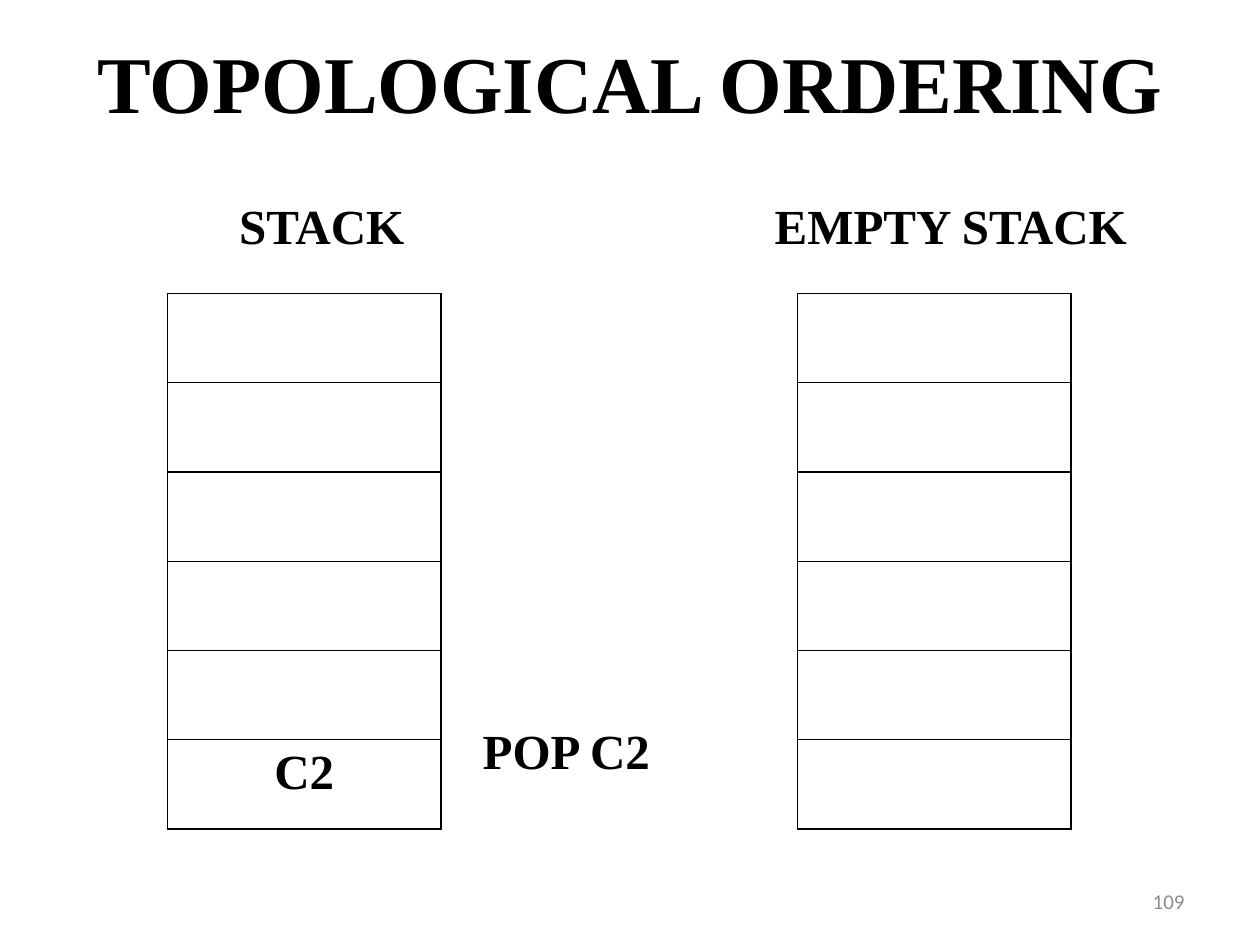
import pptx
import pptx.dml.color
import pptx.enum.text
import pptx.oxml
import pptx.oxml.ns
import pptx.util
from pptx.util import Inches

SERIF = "Times New Roman"
BLACK = "000000"
WHITE = "FFFFFF"
ALIGN = pptx.enum.text.PP_ALIGN
ANCHOR = pptx.enum.text.MSO_ANCHOR
STACK_SIZE = 6
STACK_WIDTH = 2.17
STACK_HEIGHT = 4.25
HEADING_INDENT = 0.97


def color(value):
    return pptx.dml.color.RGBColor.from_string(value)


def add_run(paragraph, text, size, font_name=SERIF, font_color=BLACK, bold=True):
    run = paragraph.add_run()
    run.text = text
    run.font.size = pptx.util.Pt(size)
    run.font.name = font_name
    run.font.bold = bold
    run.font.color.rgb = color(font_color)


def add_text(slide, box, text, size, align=ALIGN.LEFT, anchor=ANCHOR.TOP,
             indent=0, **font):
    shape = slide.shapes.add_textbox(*map(Inches, box))
    frame = shape.text_frame
    frame.word_wrap = True
    frame.vertical_anchor = anchor
    paragraph = frame.paragraphs[0]
    paragraph.alignment = align
    if indent:
        paragraph._p.get_or_add_pPr().set("marL", str(Inches(indent)))
    add_run(paragraph, text, size, **font)


def set_borders(cell, line_color=BLACK, width=0.75):
    properties = cell._tc.get_or_add_tcPr()
    namespace = pptx.oxml.ns.nsdecls("a")
    for index, side in enumerate(("lnL", "lnR", "lnT", "lnB")):
        properties.insert(index, pptx.oxml.parse_xml(
            f'<a:{side} {namespace} w="{pptx.util.Pt(width)}"><a:solidFill>'
            f'<a:srgbClr val="{line_color}"/></a:solidFill></a:{side}>'))


def add_stack(slide, left, top, items):
    """Draw a stack as a one-column table, with items listed from the bottom up."""
    table = slide.shapes.add_table(
        STACK_SIZE, 1, Inches(left), Inches(top),
        Inches(STACK_WIDTH), Inches(STACK_HEIGHT)).table
    table.first_row = False
    table.horz_banding = False
    for row in table.rows:
        cell = row.cells[0]
        cell.fill.solid()
        cell.fill.fore_color.rgb = color(WHITE)
        set_borders(cell)
    for level, item in enumerate(items, start=1):
        paragraph = table.cell(STACK_SIZE - level, 0).text_frame.paragraphs[0]
        paragraph.alignment = ALIGN.CENTER
        add_run(paragraph, item, 28)


def add_labelled_stack(slide, heading, heading_box, stack_left, items=()):
    add_text(slide, heading_box, heading, 28, indent=HEADING_INDENT)
    add_stack(slide, stack_left, 2.33, items)


def main():
    presentation = pptx.Presentation()
    presentation.slide_width = Inches(10)
    presentation.slide_height = Inches(7.5)
    slide = presentation.slides.add_slide(presentation.slide_layouts[6])

    add_text(slide, (0.5, 0.17, 9, 0.95), "TOPOLOGICAL ORDERING", 46,
             ALIGN.CENTER, ANCHOR.MIDDLE)
    add_labelled_stack(slide, "STACK", (0.83, 1.5, 3.08, 0.57), 1.33, ["C2"])
    add_text(slide, (3.58, 5.67, 1.83, 0.57), "POP C2", 28, ALIGN.CENTER)
    add_labelled_stack(slide, "EMPTY STACK", (5.08, 1.5, 4.25, 0.57), 6.33)
    add_text(slide, (7.17, 6.95, 2.33, 0.4), "109", 12, ALIGN.RIGHT, ANCHOR.MIDDLE,
             font_name="Calibri", font_color="8C8C8C", bold=False)
    presentation.save("out.pptx")


if __name__ == "__main__":
    main()
